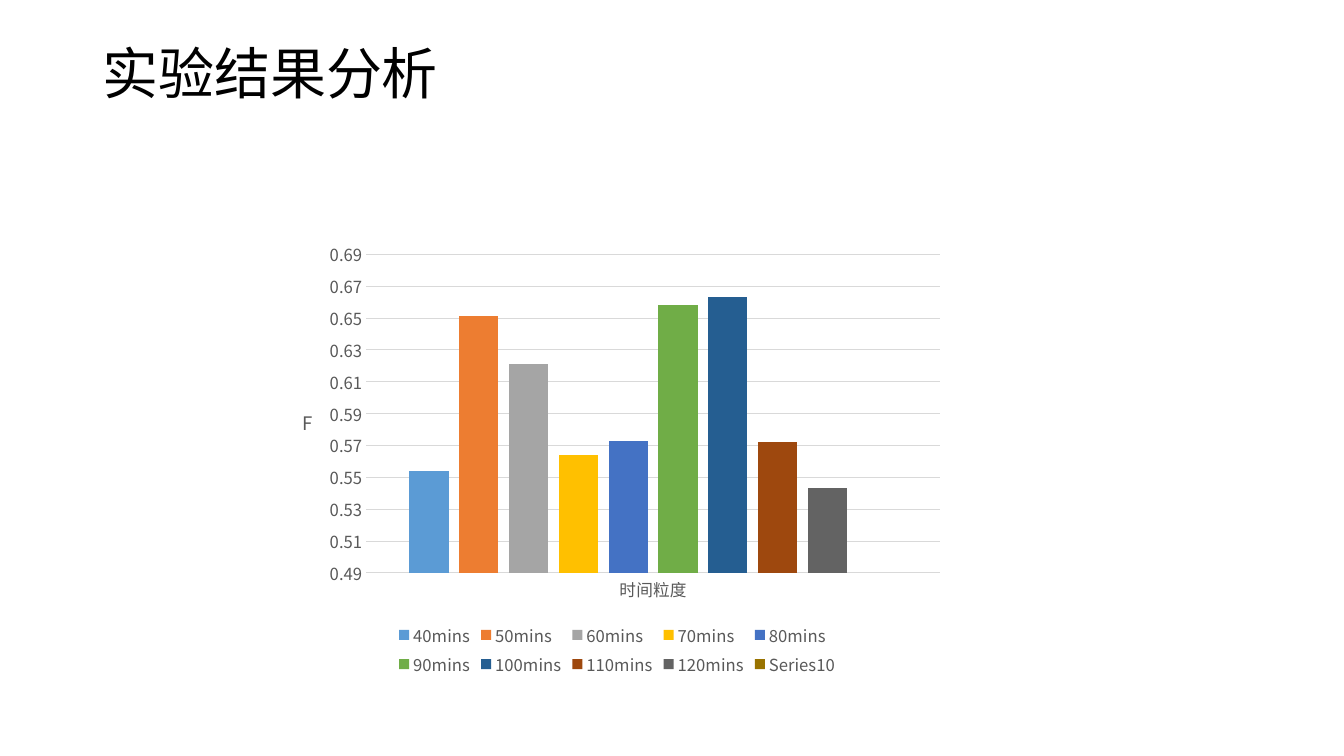
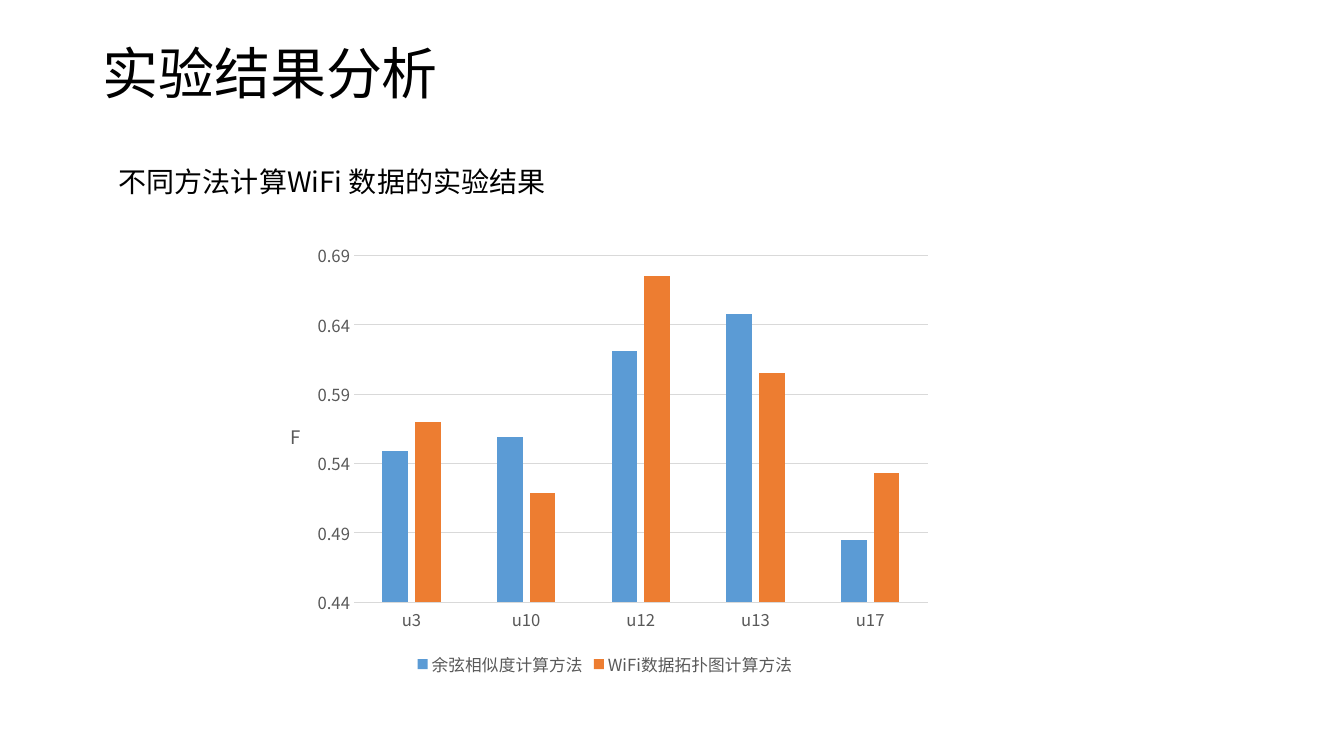
from dataclasses import dataclass

from lxml.etree import SubElement
from pptx import Presentation
from pptx.chart.data import CategoryChartData
from pptx.dml.color import RGBColor
from pptx.enum.chart import XL_CHART_TYPE, XL_LEGEND_POSITION, XL_TICK_MARK
from pptx.enum.text import MSO_ANCHOR
from pptx.oxml.ns import qn
from pptx.util import Pt


@dataclass(frozen=True)
class Theme:
    """Hold the colours and type sizes that the slides share."""
    font: str = "Noto Sans CJK SC"
    ink: str = "000000"
    muted: str = "595959"
    rule: str = "D9D9D9"
    title: float = 40
    body: float = 20
    axis_title: float = 13.3
    label: float = 11.9
    chart: float = 10
    series: tuple = ("5B9BD5", "ED7D31", "A5A5A5", "FFC000", "4472C4",
                     "70AD47", "255E91", "9E480E", "636363", "997300")


THEME = Theme()
HEADING = "实验结果分析"
GRANULARITY = {
    "40mins": [0.554], "50mins": [0.651], "60mins": [0.621],
    "70mins": [0.564], "80mins": [0.573], "90mins": [0.658],
    "100mins": [0.663], "110mins": [0.572], "120mins": [0.543],
    "Series10": [None],
}
METHODS = {
    "余弦相似度计算方法": [0.549, 0.559, 0.621, 0.648, 0.485],
    "WiFi数据拓扑图计算方法": [0.57, 0.519, 0.675, 0.605, 0.533],
}


def apply(obj, formats):
    """Set each attribute in formats on obj."""
    for name, value in formats.items():
        setattr(obj, name, value)


def style_font(font, size, color):
    """Give a font the theme face, a size and a colour."""
    apply(font, {"name": THEME.font, "size": Pt(size), "bold": False})
    font.color.rgb = RGBColor.from_string(color)


def set_east_asian(root):
    """Use the theme face for East Asian text wherever a Latin face is set."""
    for latin in list(root.iter(qn("a:latin"))):
        ea = SubElement(latin.getparent(), qn("a:ea"), typeface=THEME.font)
        latin.addnext(ea)


def style_line(line):
    """Draw a line as a thin pale rule."""
    line.color.rgb = RGBColor.from_string(THEME.rule)
    line.width = Pt(0.75)


def add_text(s, text, box, size, spacing, anchor):
    """Add one line of text in a box given in points."""
    tf = s.shapes.add_textbox(*map(Pt, box)).text_frame
    apply(tf, {"word_wrap": True, "vertical_anchor": anchor})
    p = tf.paragraphs[0]
    p.line_spacing = spacing
    r = p.add_run()
    r.text = text
    style_font(r.font, size, THEME.ink)
    set_east_asian(p._p)


def add_axis_title(axis, text):
    """Add an upright title to an axis."""
    title = axis.axis_title
    tf = title.text_frame
    r = tf.paragraphs[0].add_run()
    r.text = text
    style_font(r.font, THEME.axis_title, THEME.muted)
    for body in title._element.iter(qn("a:bodyPr")):
        apply_xml = {"rot": "0", "vert": "horz"}
        body.attrib.update(apply_xml)


def style_axes(chart, scale):
    """Style both axes and set the scale of the value axis."""
    for axis in (chart.category_axis, chart.value_axis):
        apply(axis, {"major_tick_mark": XL_TICK_MARK.NONE,
                     "minor_tick_mark": XL_TICK_MARK.NONE})
        style_font(axis.tick_labels.font, THEME.label, THEME.muted)
    style_line(chart.category_axis.format.line)
    axis = chart.value_axis
    apply(axis, scale)
    axis.format.line.fill.background()
    style_line(axis.major_gridlines.format.line)
    add_axis_title(axis, "F")


def add_columns(s, left, cats, series, scale):
    """Add a clustered column chart with a legend below it."""
    data = CategoryChartData()
    data.categories = cats
    for name, values in series.items():
        data.add_series(name, values)
    chart = s.shapes.add_chart(XL_CHART_TYPE.COLUMN_CLUSTERED, Pt(left), Pt(166.3),
                               Pt(480), Pt(320), data).chart
    apply(chart, {"has_title": False, "has_legend": True})
    style_font(chart.font, THEME.chart, THEME.ink)
    style_axes(chart, scale)
    apply(chart.legend, {"position": XL_LEGEND_POSITION.BOTTOM,
                         "include_in_layout": False})
    style_font(chart.legend.font, THEME.label, THEME.muted)
    plot = chart.plots[0]
    apply(plot, {"gap_width": 219, "overlap": -27, "vary_by_categories": False})
    for column, color in zip(plot.series, THEME.series):
        column.format.fill.solid()
        column.format.fill.fore_color.rgb = RGBColor.from_string(color)
    set_east_asian(chart._chartSpace)


def add_slide(prs):
    """Add a blank slide with the shared heading."""
    s = prs.slides.add_slide(prs.slide_layouts[6])
    add_text(s, HEADING, (66, 28.8, 828, 56.2), THEME.title, 0.72, MSO_ANCHOR.MIDDLE)
    return s


def main():
    """Build and save the two result slides."""
    prs = Presentation()
    apply(prs, {"slide_width": Pt(960), "slide_height": Pt(540)})

    s = add_slide(prs)
    add_columns(s, 200.9, ["时间粒度"], GRANULARITY,
                {"minimum_scale": 0.49, "maximum_scale": 0.69, "major_unit": 0.02})

    s = add_slide(prs)
    add_columns(s, 192.2, ["u3", "u10", "u12", "u13", "u17"], METHODS,
                {"minimum_scale": 0.44, "maximum_scale": 0.7, "major_unit": 0.05})
    add_text(s, "不同方法计算WiFi 数据的实验结果", (77.8, 118.8, 828, 379.4),
             THEME.body, 0.8, MSO_ANCHOR.TOP)

    prs.save("out.pptx")


if __name__ == "__main__":
    main()
